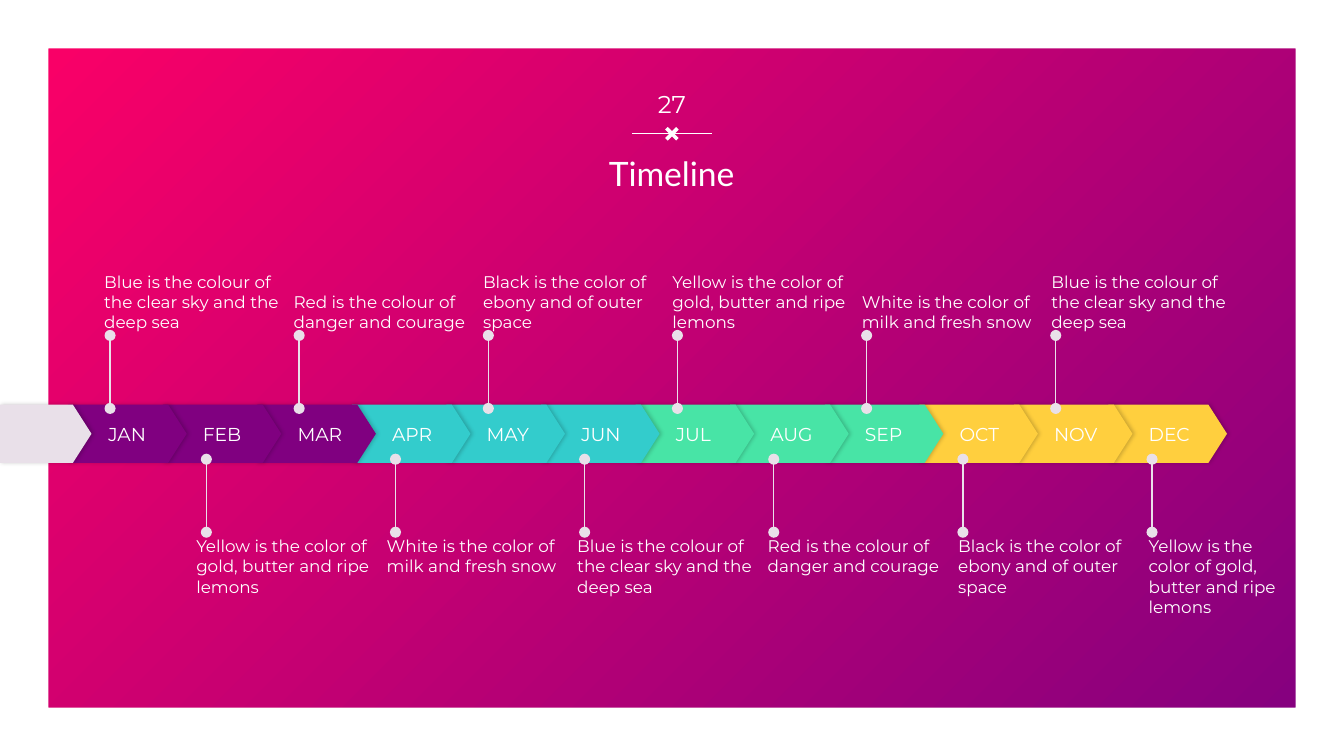
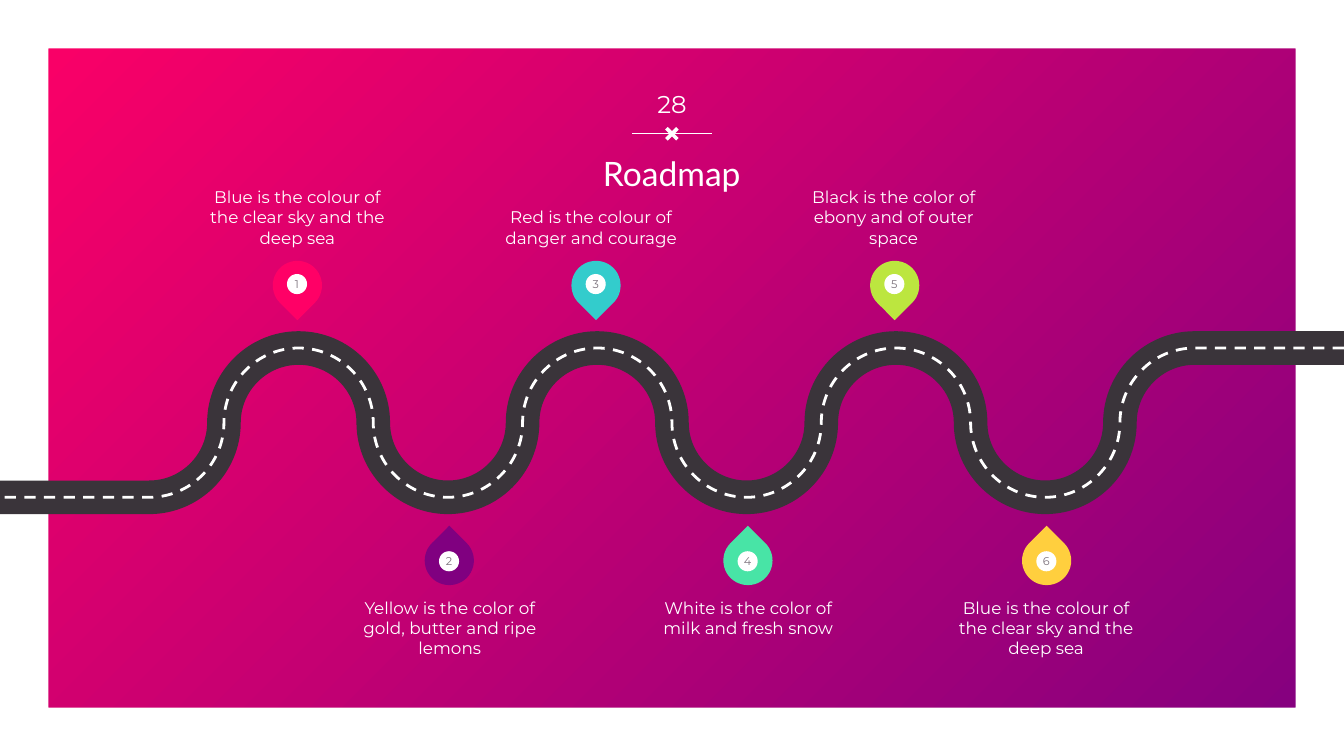
"""Build a timeline slide and a roadmap slide on a shared gradient frame."""
from lxml.etree import SubElement
from pptx import Presentation
from pptx.dml.color import RGBColor
from pptx.enum.dml import MSO_LINE as Dash
from pptx.enum.shapes import MSO_CONNECTOR as Wire, MSO_SHAPE as Kind
from pptx.enum.text import MSO_ANCHOR as Anchor, PP_ALIGN as Align
from pptx.oxml import parse_xml
from pptx.oxml.ns import nsdecls, qn
from pptx.util import Cm, Pt

WHITE = RGBColor(0xFF, 0xFF, 0xFF)
PINK = RGBColor(0xFF, 0x00, 0x66)
PURPLE = RGBColor(0x80, 0x00, 0x80)
TEAL = RGBColor(0x33, 0xCC, 0xCC)
GREEN = RGBColor(0x48, 0xE4, 0xA6)
LIME = RGBColor(0xBC, 0xE6, 0x3F)
YELLOW = RGBColor(0xFF, 0xCF, 0x3E)
LILAC = RGBColor(0xE9, 0xE0, 0xE9)
GREY = RGBColor(0x7C, 0x72, 0x7C)
ASPHALT = RGBColor(0x3A, 0x34, 0x3A)
HEAD, BODY = "Lato", "Montserrat"
WIDE, HIGH = 25.4, 14.29

BLUE_TEXT = "Blue is the colour of the clear sky and the deep sea"
RED_TEXT = "Red is the colour of danger and courage"
BLACK_TEXT = "Black is the color of ebony and of outer space"
GOLD_TEXT = "Yellow is the color of gold, butter and ripe lemons"
MILK_TEXT = "White is the color of milk and fresh snow"


def write(shape, text, size=9, font=BODY, color=WHITE, align=Align.LEFT,
          anchor=Anchor.TOP, pad=0, left=None):
    frame = shape.text_frame
    frame.word_wrap = True
    frame.vertical_anchor = anchor
    frame.margin_top = frame.margin_bottom = frame.margin_right = Cm(pad)
    frame.margin_left = Cm(pad if left is None else left)
    para = frame.paragraphs[0]
    para.alignment = align
    run = para.add_run()
    run.text = text
    run.font.size = Pt(size)
    run.font.name = font
    run.font.color.rgb = color


def block(shapes, kind, x, y, w, h, color, adjust=None):
    shape = shapes.add_shape(kind, Cm(x), Cm(y), Cm(w), Cm(h))
    shape.shadow.inherit = False
    shape.fill.solid()
    shape.fill.fore_color.rgb = color
    shape.line.fill.background()
    if adjust is not None:
        shape.adjustments[0] = adjust
    return shape


deck = Presentation()
deck.slide_width, deck.slide_height = Cm(WIDE), Cm(HIGH)
layout = deck.slide_layouts.get_by_name("Title Only")
for holder in list(layout.placeholders)[1:]:
    layout.shapes.element.remove(holder.element)
fill = layout.background.fill
fill.gradient()
fill.gradient_angle = 315
for stop, color in zip(fill.gradient_stops, (PINK, PURPLE)):
    stop.color.rgb = color

slides = []
for number, title in ((27, "Timeline"), (28, "Roadmap")):
    slide = deck.slides.add_slide(layout)
    head = slide.shapes.title
    head.left, head.top, head.width, head.height = Cm(0.91), Cm(2.72), Cm(23.57), Cm(1.09)
    middle = dict(align=Align.CENTER, anchor=Anchor.MIDDLE, pad=0.25)
    write(head, title, size=18, font=HEAD, **middle)
    box = slide.shapes.add_textbox(Cm(11.94), Cm(1.42), Cm(1.52), Cm(1.09))
    write(box, str(number), size=13, **middle)
    slides.append(slide)
time, road = (slide.shapes for slide in slides)

border = block(time, Kind.FRAME, 0, 0, WIDE, HIGH, WHITE, 0.064)
rule = time.add_connector(Wire.STRAIGHT, Cm(11.94), Cm(2.53), Cm(13.46), Cm(2.53))
rule.line.color.rgb = WHITE
cross = block(time, Kind.MATH_MULTIPLY, 12.5, 2.33, 0.4, 0.4, WHITE, 0.174)
for shape in (border, rule, cross):
    layout.shapes.element.append(shape.element)
wires = [rule]

MONTHS = "JAN FEB MAR APR MAY JUN JUL AUG SEP OCT NOV DEC".split()
STEP = 19.66 / 11
bars = []
for n, month in reversed(list(enumerate(MONTHS))):
    color = (PURPLE, TEAL, GREEN, YELLOW)[n // 3]
    bar = block(time, Kind.PENTAGON, 1.29 + n * STEP, 7.65, 2.24, 1.1, color, 0.32)
    write(bar, month, size=10, anchor=Anchor.MIDDLE, left=0.76)
    bars.append(bar)
bars.append(block(time, Kind.PENTAGON, 0, 7.65, 1.73, 1.1, LILAC, 0.32))
for bar in bars:
    bar.element.spPr.find(qn("a:effectLst")).append(parse_xml(
        f'<a:outerShdw {nsdecls("a")} blurRad="{Pt(2.2)}" dist="{Pt(0.8)}" dir="0">'
        '<a:srgbClr val="000000"><a:alpha val="20000"/></a:srgbClr></a:outerShdw>'))

UPPER = (BLUE_TEXT, RED_TEXT, BLACK_TEXT, GOLD_TEXT, MILK_TEXT, BLUE_TEXT)
LOWER = (GOLD_TEXT, MILK_TEXT, BLUE_TEXT, RED_TEXT, BLACK_TEXT, GOLD_TEXT)
ROWS = ((UPPER, 2.08, 7.72, 6.34, 1.97, 3.58, 4.81, 3.38, Anchor.BOTTOM),
        (LOWER, 3.9, 10.06, 8.68, 3.71, 3.6, 10.13, 2.79, Anchor.TOP))
for notes, stem, start, end, left, gap, top, last, anchor in ROWS:
    for n, note in enumerate(notes):
        x = Cm(stem + n * 2 * STEP)
        wire = time.add_connector(Wire.STRAIGHT, x, Cm(start), x, Cm(end))
        wire.line.color.rgb = LILAC
        for tip in ("a:headEnd", "a:tailEnd"):
            SubElement(wire.line._get_or_add_ln(), qn(tip), type="oval")
        wires.append(wire)
        width = last if n == 5 else 3.38
        box = time.add_textbox(Cm(left + n * gap), Cm(top), Cm(width), Cm(1.47))
        write(box, note, anchor=anchor)
for wire in wires:
    wire.line.width = Pt(0.75)
    SubElement(wire.element.spPr, qn("a:effectLst"))

BEND = WIDE / 9
RADIUS, AXIS, PULL = BEND / 2, 7.99, 0.55
nodes = [(WIDE - BEND - n * RADIUS, AXIS - RADIUS * (1, 0, -1, 0)[n % 4])
         for n in range(15)]
points = [(WIDE, AXIS - RADIUS), nodes[0]]
for n, ((x, y), (far, low)) in enumerate(zip(nodes, nodes[1:])):
    if n % 2:
        points += [(x, y + (low - y) * PULL), (far + RADIUS * PULL, low)]
    else:
        points += [(x - RADIUS * PULL, y), (far, low + (y - low) * PULL)]
    points.append((far, low))
points.append((0, AXIS + RADIUS))
points = [(Cm(x), Cm(y)) for x, y in points]
for color, width, dash in ((ASPHALT, 18, None), (WHITE, 1.5, Dash.DASH)):
    route = road.build_freeform(*points[0])
    route.add_line_segments(points[1:], close=False)
    lane = route.convert_to_shape()
    legs = list(lane.element.iter(qn("a:lnTo")))[1:-1]
    for n in range(0, len(legs), 3):
        curve = parse_xml(f'<a:cubicBezTo {nsdecls("a")}/>')
        legs[n].addprevious(curve)
        for leg in legs[n:n + 3]:
            curve.append(leg[0])
            leg.getparent().remove(leg)
    lane.shadow.inherit = False
    lane.fill.background()
    lane.line.color.rgb = color
    lane.line.width = Pt(width)
    lane.line.dash_style = dash

STOPS = ((PINK, 3.83, BLUE_TEXT), (PURPLE, 6.71, GOLD_TEXT), (TEAL, 9.38, RED_TEXT),
         (GREEN, 12.35, MILK_TEXT), (LIME, 15.1, BLACK_TEXT), (YELLOW, 17.98, BLUE_TEXT))
for n, (color, left, note) in enumerate(STOPS, 1):
    if n % 2:
        shift, pin, dot, top, turn, anchor = -0.03, 4.93, 5.18, 3.21, 135, Anchor.BOTTOM
    else:
        shift, pin, dot, top, turn, anchor = 0.02, 10.13, 10.42, 11.29, 315, Anchor.TOP
    x = (n + 1) * BEND + shift
    group = road.add_group_shape().shapes
    drop = block(group, Kind.TEAR, x - 0.46, pin, 0.93, 0.93, color, 1)
    drop.rotation = turn
    disc = block(group, Kind.OVAL, x - 0.19, dot, 0.38, 0.38, WHITE)
    write(disc, str(n), size=6, color=GREY, align=Align.CENTER, anchor=Anchor.MIDDLE)
    box = road.add_textbox(Cm(left), Cm(top), Cm(3.58), Cm(1.47))
    write(box, note, align=Align.CENTER, anchor=anchor)

deck.save("out.pptx")
